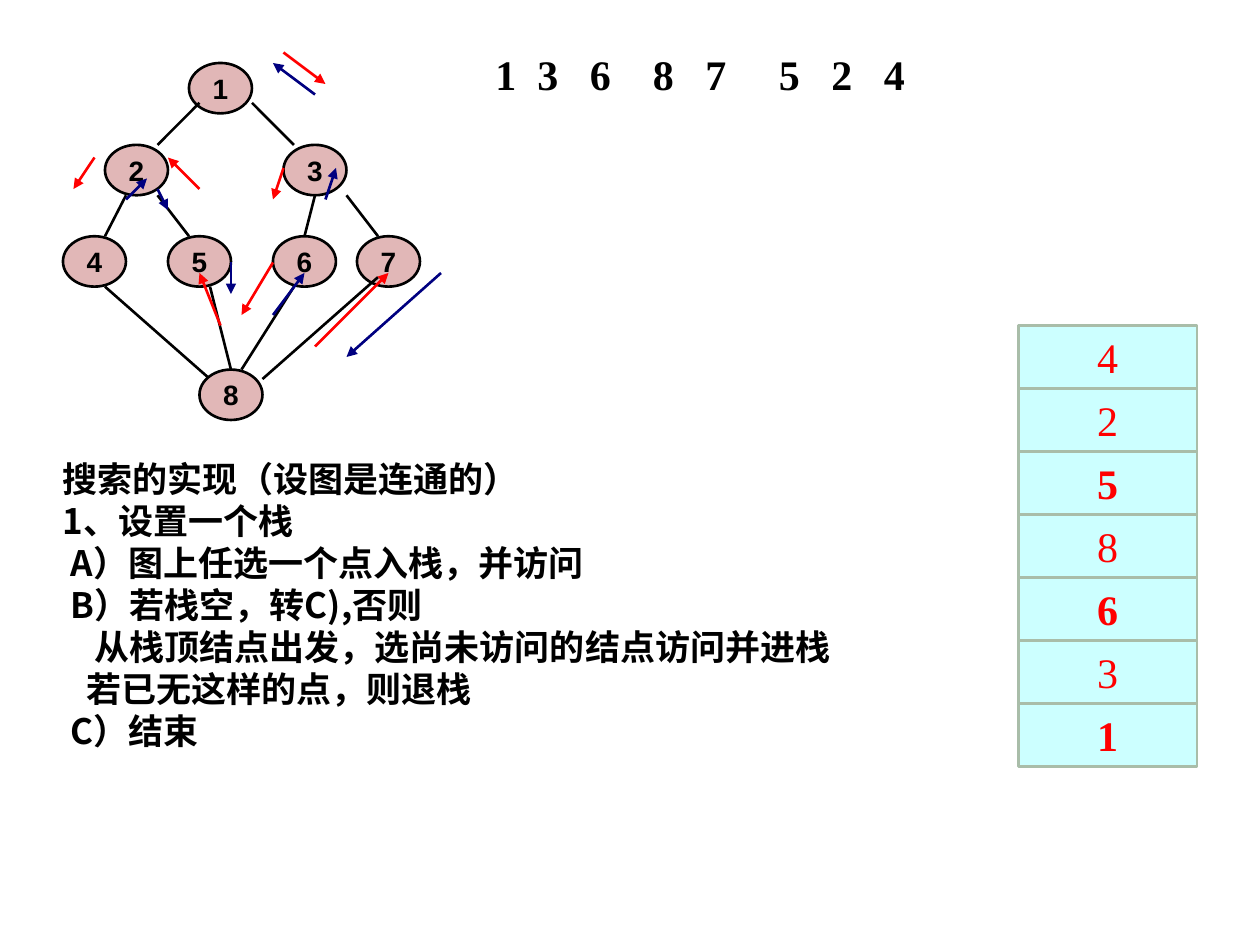
from dataclasses import dataclass

import pptx
import pptx.dml.color
import pptx.enum.shapes
import pptx.enum.text
import pptx.oxml
import pptx.oxml.ns
import pptx.util

SHAPES = pptx.enum.shapes.MSO_SHAPE
ALIGN = pptx.enum.text.PP_ALIGN


@dataclass(frozen=True)
class Theme:
    ink: str = "000000"
    node: str = "E1B7B7"
    forward: str = "FF0000"
    back: str = "000080"
    cell: str = "CCFFFF"
    cell_border: str = "A9BDA9"
    serif: str = "Times New Roman"
    sans: str = "Arial"
    chinese: str = "Noto Sans CJK SC"
    digit_size: int = 24
    body_size: int = 20
    node_size: int = 16
    line_width: float = 1.5


THEME = Theme()
UNITS_PER_INCH = 12
NODE_WIDTH, NODE_HEIGHT = 6, 4.8

# All places below are (column, row) on a grid of 12 units to the inch.
NODES = {
    "1": (18, 6), "2": (10, 13.8), "3": (27, 13.8),
    "4": (6, 22.5), "5": (16, 22.5), "6": (26, 22.5), "7": (34, 22.5),
}
LAST_NODE = ("8", (19, 35.2))

EDGES = [
    ((19, 9.8), (15, 13.8)), ((24, 9.8), (28, 13.8)),
    ((12, 18.6), (10, 22.5)), ((15, 18.6), (18, 22.5)),
    ((30, 18.6), (29, 22.5)), ((33, 18.6), (36, 22.5)),
    ((10, 27.3), (20, 36.1)), ((20, 27.3), (22, 35.2)),
    ((28, 27.3), (23, 35.2)), ((36, 26.4), (25, 36.1)),
]
FORWARD_STEPS = [
    ((27, 5), (31, 8)), ((27, 16), (26, 19)), ((26, 25), (23, 30)),
    ((30, 33), (37, 26)), ((21, 31), (19, 26)), ((19, 18), (16, 15)),
    ((9, 15), (7, 18)),
]
BACK_STEPS = [
    ((42, 26), (33, 34)), ((12, 19), (14, 17)), ((15, 18), (16, 20)),
    ((22, 25), (22, 28)), ((26, 30), (29, 26)), ((31, 19), (32, 16)),
    ((30, 9), (26, 6)),
]

VISIT_COLUMNS = {"1": 46, "3": 50, "6": 55, "8": 61, "7": 66, "5": 73, "2": 78, "4": 83}
STACK = "4258631"
BOLD_IN_STACK = "561"

# Each line with its indent, counted in spaces of the body type.
ALGORITHM = [
    ("搜索的实现（设图是连通的）", 0),
    ("1、设置一个栈", 0),
    ("A）图上任选一个点入栈，并访问", 1),
    ("B）若栈空，转C),否则", 1),
    ("从栈顶结点出发，选尚未访问的结点访问并进栈", 4),
    ("若已无这样的点，则退栈", 3),
    ("C）结束", 1),
]
SPACE_WIDTH = 0.75


def grid(units):
    return pptx.util.Inches(units / UNITS_PER_INCH)


def rgb(color):
    return pptx.dml.color.RGBColor.from_string(color)


def write_text(frame, lines, *, font, size, color=THEME.ink, bold=True, align=ALIGN.LEFT):
    """Fill a text frame with (text, indent) lines in one format."""
    frame.word_wrap = False
    for index, (text, indent) in enumerate(lines):
        paragraph = frame.add_paragraph() if index else frame.paragraphs[0]
        paragraph.alignment = align
        if indent:
            properties = paragraph._p.get_or_add_pPr()
            properties.set("marL", str(grid(indent * SPACE_WIDTH)))
            properties.set("indent", "0")
        run = paragraph.add_run()
        run.text = text
        run.font.size = pptx.util.Pt(size)
        run.font.bold = bold
        run.font.color.rgb = rgb(color)
        run.font.name = font
        east_asian = pptx.oxml.parse_xml(
            f'<a:ea {pptx.oxml.ns.nsdecls("a")} typeface="{font}"/>')
        run.font._element.find(pptx.oxml.ns.qn("a:latin")).addnext(east_asian)


def add_label(slide, column, row, width, height, lines, **text_format):
    label = slide.shapes.add_textbox(*map(grid, (column, row, width, height)))
    write_text(label.text_frame, lines, **text_format)
    label.text_frame.auto_size = pptx.enum.text.MSO_AUTO_SIZE.SHAPE_TO_FIT_TEXT


def add_box(slide, preset, bounds, text, *, fill, border, **text_format):
    box = slide.shapes.add_shape(preset, *map(grid, bounds))
    box.shadow.inherit = False
    box.fill.solid()
    box.fill.fore_color.rgb = rgb(fill)
    box.line.color.rgb = rgb(border)
    box.line.width = pptx.util.Pt(THEME.line_width)
    box.text_frame.vertical_anchor = pptx.enum.text.MSO_ANCHOR.MIDDLE
    write_text(box.text_frame, [(text, 0)], align=ALIGN.CENTER, **text_format)


def add_node(slide, name, place):
    add_box(slide, SHAPES.OVAL, (*place, NODE_WIDTH, NODE_HEIGHT), name,
            fill=THEME.node, border=THEME.ink, font=THEME.sans, size=THEME.node_size)


def add_lines(slide, segments, color, arrow=False):
    for start, end in segments:
        line = slide.shapes.add_connector(
            pptx.enum.shapes.MSO_CONNECTOR.STRAIGHT, *map(grid, (*start, *end)))
        line.line.color.rgb = rgb(color)
        line.line.width = pptx.util.Pt(THEME.line_width)
        namespace = pptx.oxml.ns.nsdecls("a")
        if arrow:
            line.line._get_or_add_ln().append(
                pptx.oxml.parse_xml(f'<a:tailEnd {namespace} type="triangle"/>'))
        line._element.spPr.append(pptx.oxml.parse_xml(f"<a:effectLst {namespace}/>"))


def add_graph(slide):
    for name, place in NODES.items():
        add_node(slide, name, place)
    add_lines(slide, EDGES, THEME.ink)
    add_node(slide, *LAST_NODE)
    add_lines(slide, FORWARD_STEPS, THEME.forward, arrow=True)
    add_lines(slide, BACK_STEPS, THEME.back, arrow=True)


def add_visit_order(slide):
    for name, column in VISIT_COLUMNS.items():
        add_label(slide, column, 4, 4.3, 6, [(name, 0)],
                  font=THEME.serif, size=THEME.digit_size)


def add_stack(slide):
    left, top, width, height = 97, 31, 17, 6
    for level, name in enumerate(STACK):
        add_box(slide, SHAPES.RECTANGLE, (left, top + level * height, width, height), name,
                fill=THEME.cell, border=THEME.cell_border, font=THEME.serif,
                size=THEME.digit_size, color=THEME.forward, bold=name in BOLD_IN_STACK)


def main():
    deck = pptx.Presentation()
    deck.slide_width = pptx.util.Inches(10)
    deck.slide_height = pptx.util.Inches(7.5)
    slide = deck.slides.add_slide(deck.slide_layouts[6])
    add_visit_order(slide)
    add_label(slide, 4.8, 43, 75.6, 29.3, ALGORITHM,
              font=THEME.chinese, size=THEME.body_size)
    add_graph(slide)
    add_stack(slide)
    deck.save("out.pptx")


if __name__ == "__main__":
    main()
